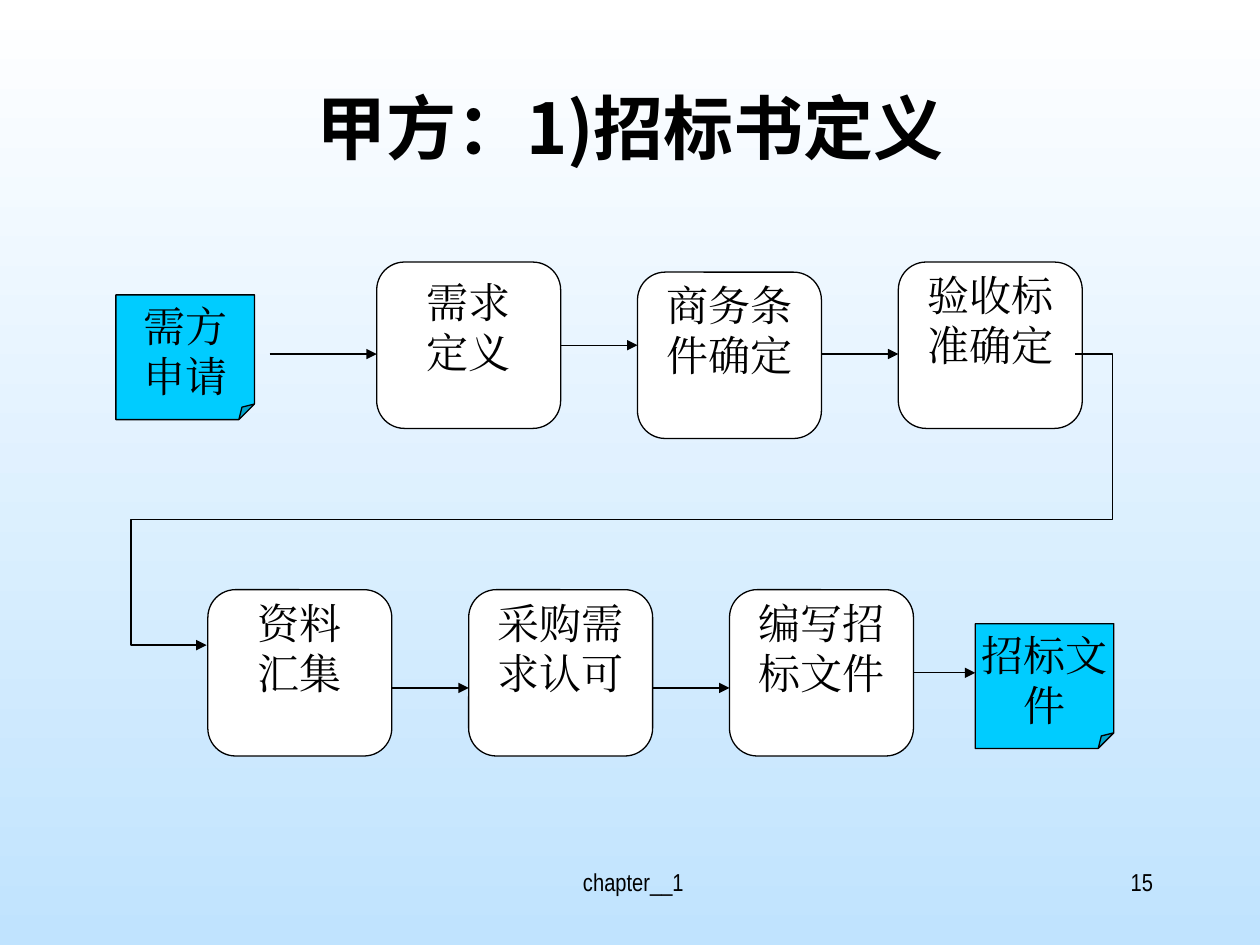
from lxml import etree
from pptx import Presentation
from pptx.dml.color import RGBColor
from pptx.enum.shapes import MSO_CONNECTOR, MSO_SHAPE
from pptx.enum.text import MSO_ANCHOR, PP_ALIGN
from pptx.oxml.ns import qn
from pptx.util import Inches, Pt

CENTER, RIGHT = PP_ALIGN.CENTER, PP_ALIGN.RIGHT
TOP = MSO_ANCHOR.TOP
STRAIGHT = MSO_CONNECTOR.STRAIGHT
ROUNDED, NOTE = MSO_SHAPE.ROUNDED_RECTANGLE, MSO_SHAPE.FOLDED_CORNER

BLACK, WHITE, SKY, CYAN = "000000", "FFFFFF", "C0E3FE", "00CCFF"
STEP_SIZE = (1.46, 1.32)
NOTE_SIZE = (1.1, 0.99)
STEP_PITCH = 2.07


def color(value):
    return RGBColor.from_string(value)


def write(shape, lines, size, font, align=CENTER, insets=(0.1, 0.05), bold=False, spacing=None):
    frame = shape.text_frame
    frame.word_wrap = True
    frame.vertical_anchor = TOP
    frame.margin_left = frame.margin_right = Inches(insets[0])
    frame.margin_top = frame.margin_bottom = Inches(insets[1])
    for index, line in enumerate(lines):
        para = frame.add_paragraph() if index else frame.paragraphs[0]
        para.alignment = align
        para.line_spacing = spacing
        span = para.add_run()
        span.text = line
        span.font.size = Pt(size)
        span.font.bold = bold
        span.font.name = font
        span.font.color.rgb = color(BLACK)
        east_asian = etree.SubElement(span.font._element, qn("a:ea"))
        east_asian.set("typeface", font)


def outline(shape, arrow=False):
    shape.line.color.rgb = color(BLACK)
    shape.line.width = Pt(0.75)
    if arrow:
        tip = etree.SubElement(shape.line._get_or_add_ln(), qn("a:tailEnd"))
        tip.set("type", "triangle")


def set_corner(shape, corner):
    guides = shape._element.spPr.find(qn("a:prstGeom")).get_or_add_avLst()
    for guide in list(guides):
        guides.remove(guide)
    guide = etree.SubElement(guides, qn("a:gd"))
    guide.set("name", "adj")
    guide.set("fmla", f"val {round(corner * 100000)}")


def add_node(page, kind, box, lines, fill, insets, corner):
    shape = page.shapes.add_shape(kind, *map(Inches, box))
    shape.shadow.inherit = False
    set_corner(shape, corner)
    shape.fill.solid()
    shape.fill.fore_color.rgb = color(fill)
    outline(shape)
    write(shape, lines, 24, "Times New Roman", insets=insets, spacing=Pt(28.6))


def add_step(page, left, top, lines, insets=(0.1, 0)):
    add_node(page, ROUNDED, (left, top, *STEP_SIZE), lines, WHITE, insets, 0.167)


def add_note(page, left, top, lines):
    add_node(page, NOTE, (left, top, *NOTE_SIZE), lines, CYAN, (0, 0.05), 0.125)


def add_arrow(page, start, end, y):
    arrow = page.shapes.add_connector(STRAIGHT, *map(Inches, (start, y, end, y)))
    outline(arrow, arrow=True)
    etree.SubElement(arrow._element.spPr, qn("a:effectLst"))


def add_title(page, box, text):
    title = page.shapes.title
    title.left, title.top, title.width, title.height = map(Inches, box)
    write(title, [text], 40, "Noto Sans CJK SC", bold=True, spacing=0.95)


def add_footer(page, box, text, align):
    footer = page.shapes.add_textbox(*map(Inches, box))
    write(footer, [text], 14, "Arial Narrow", align)


def add_request_row(page, left, top):
    first = left + 2.07
    steps = [
        (["需求", "定义"], 0, (0.1, 0.05)),
        (["商务条件确定"], 0.08, (0.1, 0)),
        (["验收标", "准确定"], 0, (0, 0)),
    ]
    add_note(page, left, top + 0.26, ["需方", "申请"])
    add_arrow(page, left + 1.22, first, top + 0.73)
    for index, (lines, drop, insets) in enumerate(steps):
        x = first + index * STEP_PITCH
        add_step(page, x, top + drop, lines, insets)
        if index:
            y = top + (0.66 if index == 1 else 0.73)
            add_arrow(page, x - STEP_PITCH + STEP_SIZE[0], x, y)


def add_document_row(page, left, top):
    steps = [["资料", "汇集"], ["采购需求认可"], ["编写招标文件"]]
    for index, lines in enumerate(steps):
        x = left + index * STEP_PITCH
        add_step(page, x, top, lines)
        if index:
            add_arrow(page, x - STEP_PITCH + STEP_SIZE[0], x, top + 0.78)
    end = left + 2 * STEP_PITCH + STEP_SIZE[0]
    add_arrow(page, end, end + 0.49, top + 0.66)
    add_note(page, end + 0.49, top + 0.27, ["招标文件"])


def add_row_link(page, start, end, right, left):
    middle = (start[1] + end[1]) / 2 + 0.16
    corners = [(right, start[1]), (right, middle), (left, middle), (left, end[1]), end]
    builder = page.shapes.build_freeform(Inches(start[0]), Inches(start[1]))
    builder.add_line_segments([(Inches(x), Inches(y)) for x, y in corners], close=False)
    link = builder.convert_to_shape()
    link.shadow.inherit = False
    link.fill.background()
    outline(link, arrow=True)


def paint_background(page):
    fill = page.background.fill
    fill.gradient()
    fill.gradient_angle = 270
    for stop, position, value in zip(fill.gradient_stops, (0, 1), (WHITE, SKY)):
        stop.position = position
        stop.color.rgb = color(value)


def main():
    deck = Presentation()
    deck.slide_width, deck.slide_height = Inches(10), Inches(7.5)
    page = deck.slides.add_slide(deck.slide_layouts[5])
    paint_background(page)
    add_footer(page, (3.42, 6.83, 3.17, 0.5), " chapter__1", CENTER)
    add_footer(page, (7.17, 6.83, 2.08, 0.5), "15", RIGHT)
    add_title(page, (0.75, 0.67, 8.5, 1.25), "甲方：1)招标书定义")
    add_request_row(page, 0.92, 2.08)
    add_document_row(page, 1.65, 4.68)
    add_row_link(page, (8.53, 2.81), (1.64, 5.12), 8.83, 1.04)
    deck.save("out.pptx")


if __name__ == "__main__":
    main()
